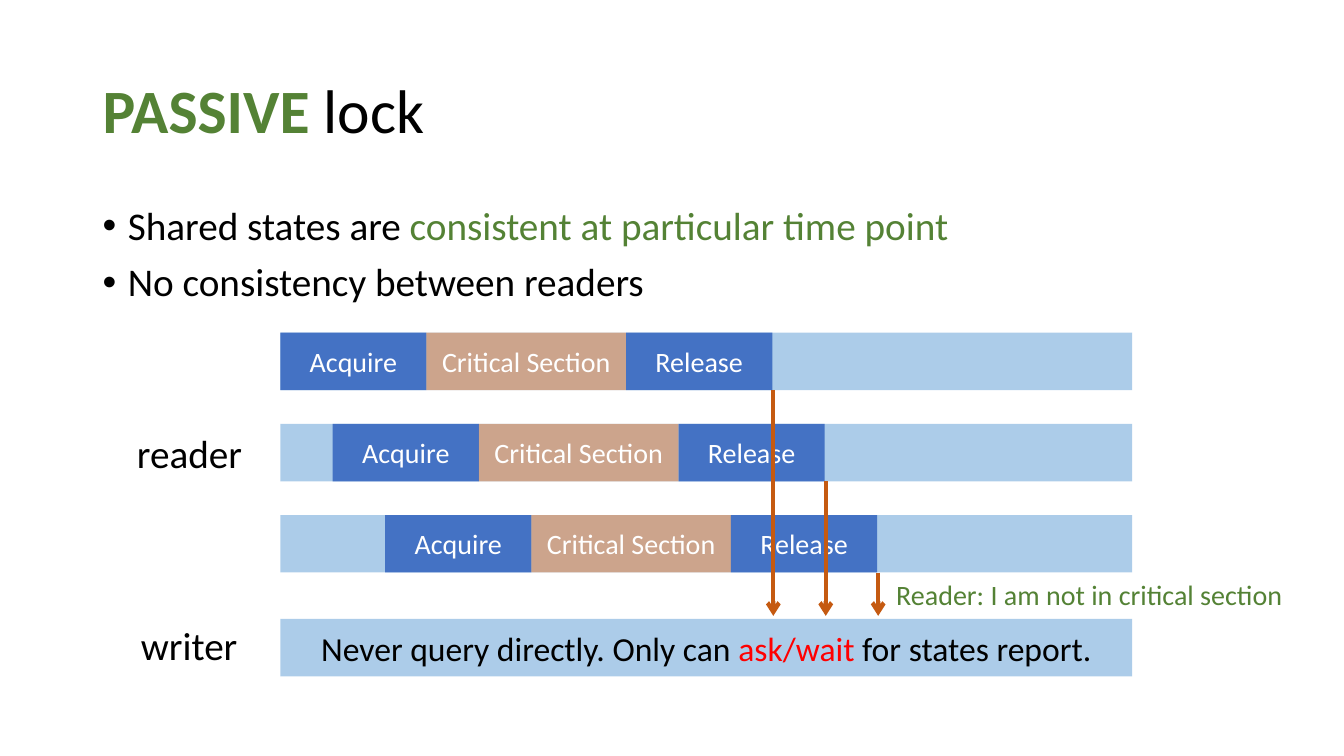
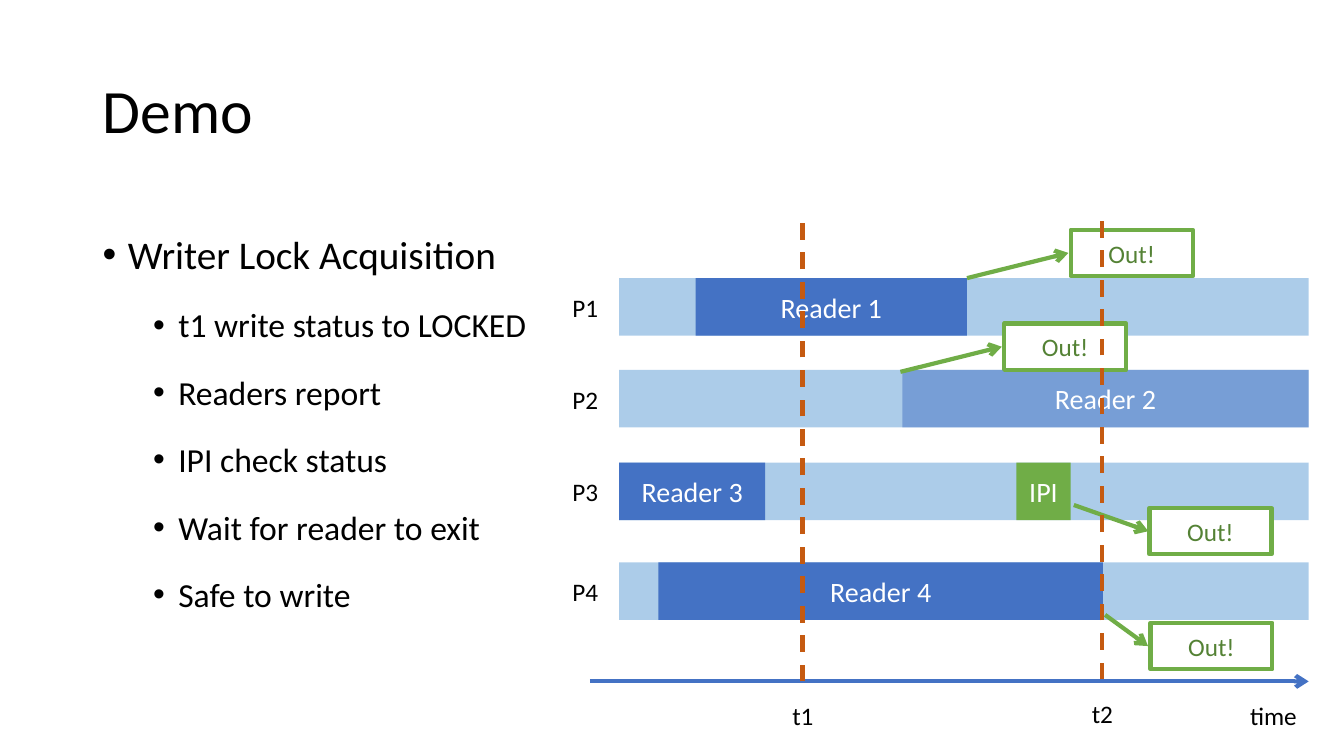
from dataclasses import dataclass
from typing import NamedTuple

from lxml.etree import SubElement
from pptx import Presentation
from pptx.dml.color import RGBColor
from pptx.enum.dml import MSO_LINE
from pptx.enum.shapes import MSO_CONNECTOR, MSO_SHAPE
from pptx.enum.text import MSO_ANCHOR, MSO_AUTO_SIZE, PP_ALIGN
from pptx.oxml.ns import qn
from pptx.util import Inches, Pt


# Theme and records
@dataclass(frozen=True)
class Theme:
    font: str = "Calibri"
    black: str = "000000"
    white: str = "FFFFFF"
    red: str = "FF0000"
    blue: str = "4472C4"
    sky: str = "5B9BD5"
    orange: str = "ED7D31"
    rust: str = "C55A11"
    green: str = "70AD47"
    leaf: str = "548235"
    title: int = 44
    body: int = 28
    sub: int = 24
    bar: int = 20
    label: int = 18
    line: int = 3
    half: int = 50
    tall: float = 0.57


T = Theme()


class Run(NamedTuple):
    text: str
    color: str = T.black
    bold: bool = False


class Bar(NamedTuple):
    left: float
    width: float
    text: str
    fill: str = T.blue
    alpha: int = 100


class Lane(NamedTuple):
    name: str
    top: float
    bars: list[Bar]


class Note(NamedTuple):
    left: float
    top: float
    tip: tuple[float, float]
    gap: float = 0.02


class Item(NamedTuple):
    runs: list[Run]
    level: int = 0


# Text
def write(par, text: str, *, size: int, color: str = T.black, bold: bool = False) -> None:
    run = par.add_run()
    run.text = text
    font = run.font
    font.name, font.size, font.bold = T.font, Pt(size), bold
    font.color.rgb = RGBColor.from_string(color)


def add_text(slide, left: float, top: float, width: float, height: float,
             wrap: bool = True):
    box = slide.shapes.add_textbox(*map(Inches, (left, top, width, height)))
    box.text_frame.word_wrap = wrap
    return box.text_frame


def add_label(slide, text: str, left: float, top: float, width: float,
              size: int = T.label, color: str = T.black) -> None:
    frame = add_text(slide, left, top, width, size / 50 + 0.04, wrap=False)
    frame.auto_size = MSO_AUTO_SIZE.SHAPE_TO_FIT_TEXT
    write(frame.paragraphs[0], text, size=size, color=color)


def add_title(slide, runs: list[Run]) -> None:
    frame = add_text(slide, 0.92, 0.4, 11.5, 1.45)
    frame.vertical_anchor = MSO_ANCHOR.MIDDLE
    par = frame.paragraphs[0]
    par.line_spacing = 0.9
    for run in runs:
        write(par, run.text, size=T.title, color=run.color, bold=run.bold)


def add_list(slide, items: list[Item], space: float) -> None:
    frame = add_text(slide, 0.92, 2, 11.5, 4.76)
    for i, item in enumerate(items):
        par = frame.add_paragraph() if i else frame.paragraphs[0]
        par.level = item.level
        props = par._p.get_or_add_pPr()
        props.set("marL", str(Inches(0.25 + 0.5 * item.level)))
        props.set("indent", str(Inches(-0.25)))
        SubElement(props, qn("a:buFont")).set("typeface", "Arial")
        SubElement(props, qn("a:buChar")).set("char", "•")
        par.line_spacing = space
        if i:
            par.space_before = Pt(5 if item.level else 10)
        for run in item.runs:
            write(par, run.text, size=T.sub if item.level else T.body, color=run.color)


# Shapes and lines
def add_box(slide, left: float, top: float, width: float, height: float, fill: str,
            runs: list[Run], size: int = T.bar, alpha: int = 100,
            kind: MSO_SHAPE = MSO_SHAPE.RECTANGLE):
    shape = slide.shapes.add_shape(kind, *map(Inches, (left, top, width, height)))
    shape.shadow.inherit = False
    shape.fill.solid()
    shape.fill.fore_color.rgb = RGBColor.from_string(fill)
    shape.line.fill.background()
    if alpha < 100:
        tone = shape._element.spPr.find(qn("a:solidFill"))[0]
        SubElement(tone, qn("a:alpha")).set("val", str(alpha * 1000))
    frame = shape.text_frame
    frame.vertical_anchor = MSO_ANCHOR.MIDDLE
    par = frame.paragraphs[0]
    par.alignment = PP_ALIGN.CENTER
    for run in runs:
        write(par, run.text, size=size, color=run.color)
    return shape


def add_bar(slide, bar: Bar, top: float) -> None:
    add_box(slide, bar.left, top, bar.width, T.tall, bar.fill,
            [Run(bar.text, T.white)], alpha=bar.alpha)


def add_band(slide, left: float, top: float, width: float,
             runs: list[Run] | None = None) -> None:
    add_box(slide, left, top, width, T.tall, T.sky, runs or [], T.sub, T.half)


def set_line(line, color: str, end: str = "") -> None:
    line.color.rgb = RGBColor.from_string(color)
    line.width = Pt(T.line)
    if end:
        SubElement(line._get_or_add_ln(), qn(f"a:{end}")).set("type", "arrow")


def add_line(slide, start: tuple[float, float], stop: tuple[float, float],
             color: str, dash: bool = False) -> None:
    wire = slide.shapes.add_connector(MSO_CONNECTOR.STRAIGHT, *map(Inches, start + stop))
    set_line(wire.line, color, "" if dash else "tailEnd")
    if dash:
        wire.line.dash_style = MSO_LINE.DASH
    SubElement(wire._element.spPr, qn("a:effectLst"))


def add_note(slide, note: Note) -> None:
    width, height = 1.21, 0.46
    shape = add_box(slide, note.left, note.top, width, height, T.white,
                    [Run("Out!", T.leaf)], T.label, kind=MSO_SHAPE.LINE_CALLOUT_1)
    set_line(shape.line, T.green, "headEnd")
    x, y = note.tip
    places = (0.5, -note.gap, (y - note.top) / height, (x - note.left) / width)
    for i, place in enumerate(places):
        shape.adjustments[i] = place


# Slide with the lock phases
def draw_lock(slide) -> None:
    add_title(slide, [Run("PASSIVE", T.leaf, True), Run(" lock")])
    add_list(slide, [
        Item([Run("Shared states are "),
              Run("consistent at particular time point", T.leaf)]),
        Item([Run("No consistency between readers")]),
    ], 0.9)
    left, top, width, floor = 2.78, 3.3, 8.45, 6.11
    phases = [Bar(0, 1.45, "Acquire"),
              Bar(1.45, 1.98, "Critical Section", T.orange, T.half),
              Bar(3.43, 1.45, "Release")]
    ends = []
    for i in range(3):
        x, y = left + 0.52 * i, top + 1.81 * i / 2
        add_band(slide, left, y, width)
        for bar in phases:
            add_bar(slide, bar._replace(left=x + bar.left), y)
        ends.append((x + 4.89, y + T.tall))
    add_band(slide, left, 6.14, width, [
        Run("Never query directly. Only can "), Run("ask/wait ", T.red),
        Run("for states report.")])
    add_label(slide, "reader", 1.26, 4.21, 1.25, T.body)
    add_label(slide, "writer", 1.3, 6.11, 1.17, T.body)
    add_label(slide, "Reader: I am not in critical section", 8.79, 5.68, 4.14,
              T.bar, T.leaf)
    for x, y in ends:
        add_line(slide, (x, y), (x, floor), T.rust)


# Slide with the timeline
def draw_demo(slide) -> None:
    add_title(slide, [Run("Demo")])
    steps = ["t1 write status to LOCKED", "Readers report", "IPI check status",
             "Wait for reader to exit", "Safe to write"]
    add_list(slide, [Item([Run("Writer Lock Acquisition")])]
             + [Item([Run(step)], 1) for step in steps], 1.5)
    left, width, axis = 6.14, 6.84, 6.76
    lanes = [
        Lane("P1", 2.76, [Bar(6.9, 2.69, "Reader 1")]),
        Lane("P2", 3.67, [Bar(8.95, 4.03, "Reader 2", alpha=T.half)]),
        Lane("P3", 4.59, [Bar(left, 1.45, "Reader 3"),
                          Bar(10.08, 0.54, "IPI", T.green)]),
        Lane("P4", 5.58, [Bar(6.53, 4.41, "Reader 4")]),
    ]
    for lane in lanes:
        add_band(slide, left, lane.top, width)
        for bar in lane.bars:
            add_bar(slide, bar, lane.top)
        add_label(slide, lane.name, 5.58, lane.top + 0.09, 0.46)
    notes = [Note(10.62, 2.28, (9.59, 2.76)), Note(9.96, 3.21, (8.93, 3.69)),
             Note(11.4, 5.04, (10.65, 5.01), 0.01), Note(11.41, 6.18, (10.96, 6.1))]
    for note in notes:
        add_note(slide, note)
    # Time axis and its marks
    add_line(slide, (5.85, axis), (left + width, axis), T.blue)
    add_label(slide, "time", 12.3, 6.9, 0.67)
    for name, x, shift in (("t1", 7.96, 0), ("t2", 10.93, 0.02)):
        add_line(slide, (x, axis - shift), (x, 2.21 - shift), T.rust, dash=True)
        add_label(slide, name, x - 0.2, 6.9 - shift, 0.41)


def main() -> None:
    deck = Presentation()
    deck.slide_width, deck.slide_height = Inches(13.33), Inches(7.5)
    for draw in (draw_lock, draw_demo):
        draw(deck.slides.add_slide(deck.slide_layouts[6]))
    deck.save("out.pptx")


if __name__ == "__main__":
    main()
